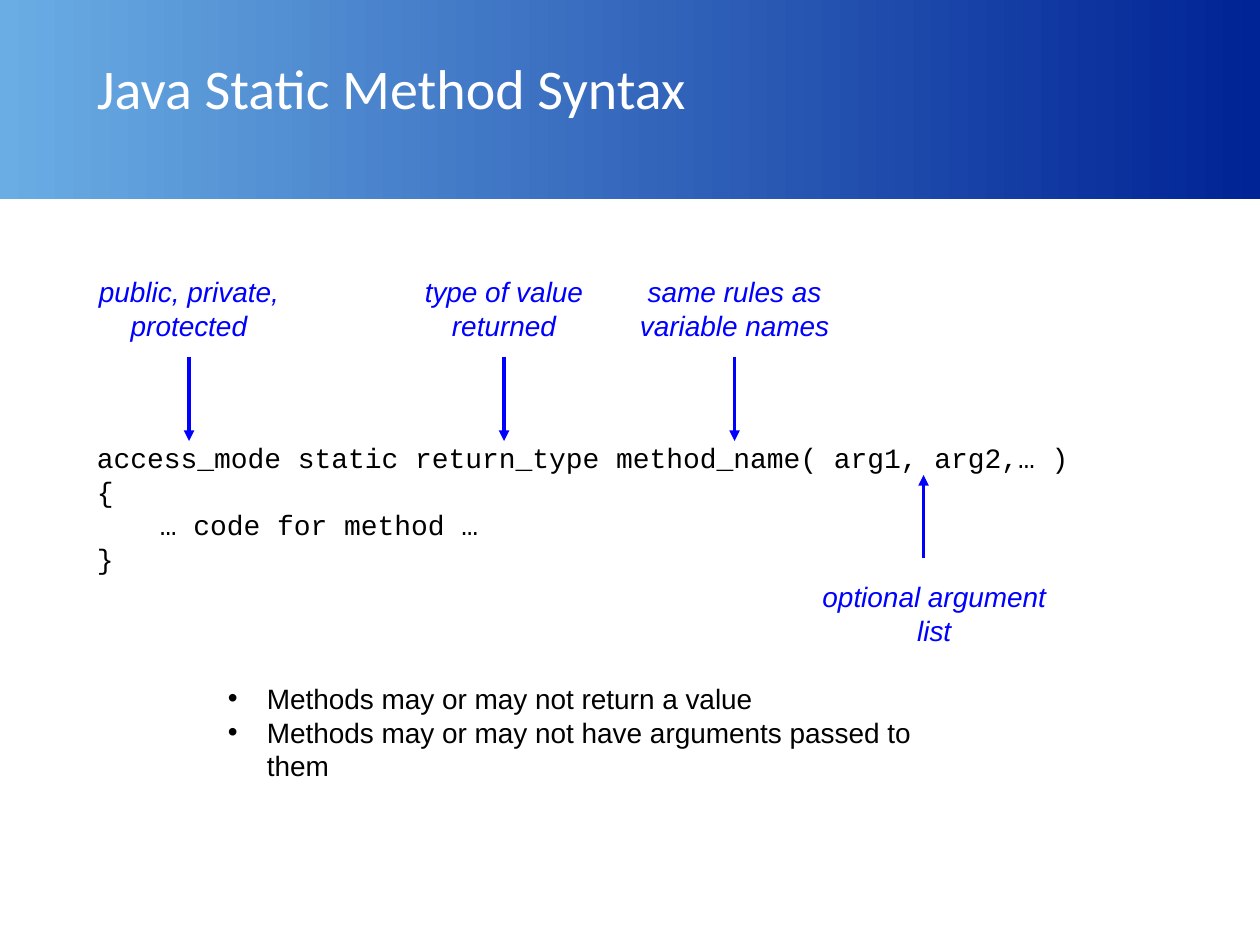
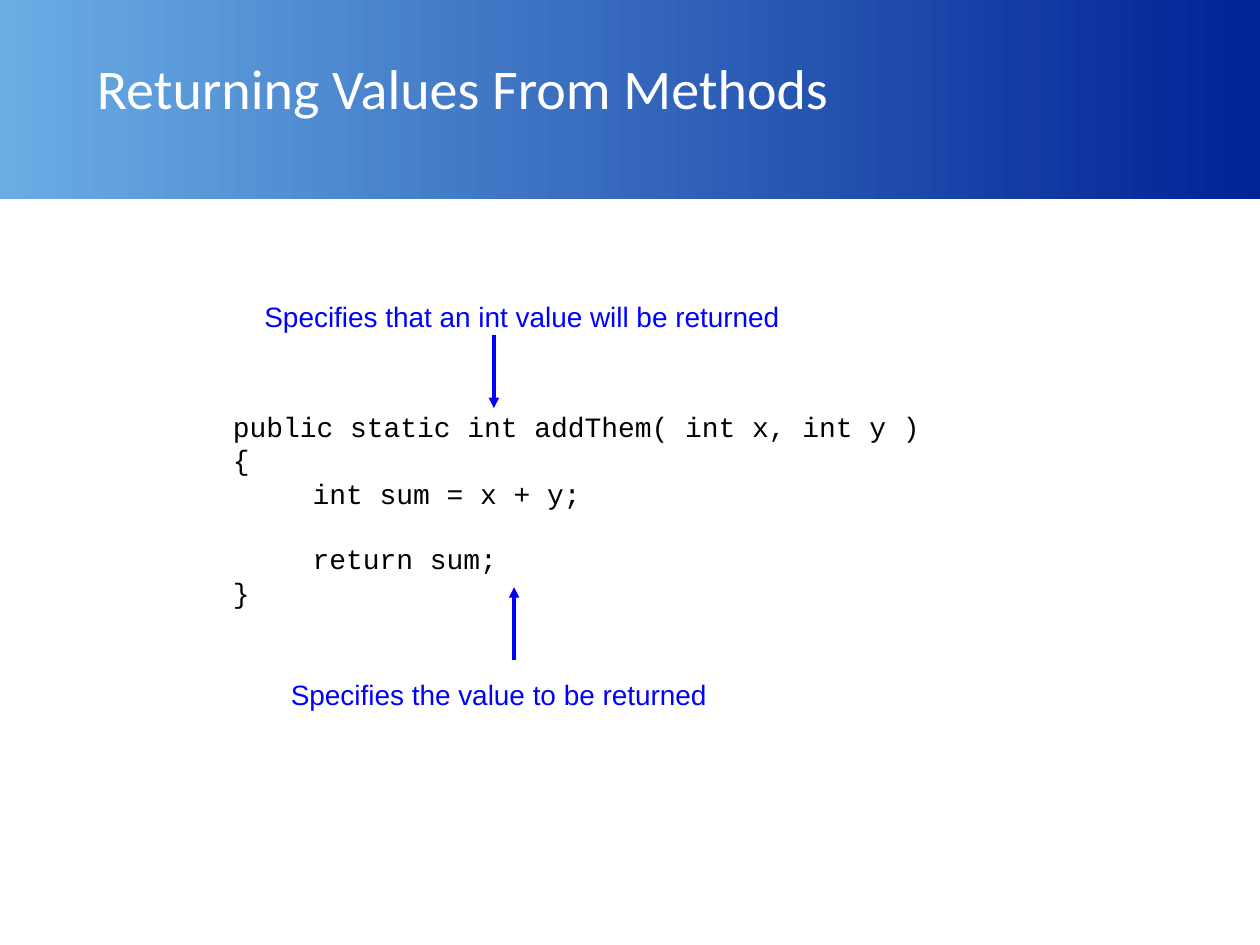
from dataclasses import dataclass

from lxml import etree
from pptx import Presentation
from pptx import util as u
from pptx.dml import color
from pptx.enum import shapes, text
from pptx.oxml import ns


@dataclass(frozen=True)
class Theme:
    band_start: str = "6AADE4"
    band_end: str = "002395"
    title: str = "FFFFFF"
    body: str = "000000"
    note: str = "0000FF"
    title_font: str = "Calibri"
    body_font: str = "Arial"
    code_font: str = "Courier New"
    title_size: int = 32
    body_size: int = 16
    code_line: int = 18
    arrow_width: int = 2


THEME = Theme()

# Content: boxes are left, top, width, height in inches
SYNTAX_TITLE = "Java Static Method Syntax"
SYNTAX_CODE = [
    "access_mode static return_type method_name( arg1, arg2,… )",
    "{",
    "\t… code for method …",
    "}",
]
PART_NOTES = [  # arrow x, note above the arrow
    (1.5, "public, private, protected"),
    (4, "type of value returned"),
    (5.83, "same rules as variable names"),
]
ARGUMENT_NOTE = "optional argument list"
METHOD_FACTS = [
    "Methods may or may not return a value",
    "Methods may or may not have arguments passed to them",
]

RETURN_TITLE = "Returning Values From Methods"
RETURN_CODE = [
    "public static int addThem( int x, int y )",
    "{",
    "\t int sum = x + y;",
    "\t return sum;",
    "}",
]
RETURN_LINE = 3
RETURN_NOTES = [  # text, box, arrow x, arrow start y, arrow end y
    ("Specifies that an int value will be returned",
     (2, 2.33, 4.42, 0.37), 3.92, 2.66, 3.24),
    ("Specifies the value to be returned",
     (2.21, 5.33, 3.75, 0.37), 4.08, 5.24, 4.66),
]

NOTE_WIDTH = 2.17
NOTE_TOP, NOTE_HEIGHT = 2.13, 0.7
PART_ARROW_END = 3.5
BULLET_INDENT = 0.31


def inches(values):
    return [u.Inches(value) for value in values]


def rgb(value):
    return color.RGBColor.from_string(value)


def add_text(slide, box, lines, font=THEME.body_font, size=THEME.body_size,
             ink=THEME.body, italic=False, align=text.PP_ALIGN.LEFT):
    shape = slide.shapes.add_textbox(*inches(box))
    frame = shape.text_frame
    frame.word_wrap = True
    frame.text = "\n".join(lines)
    for paragraph in frame.paragraphs:
        paragraph.alignment = align
        for run in paragraph.runs:
            run.font.name = font
            run.font.size = u.Pt(size)
            run.font.italic = italic
            run.font.color.rgb = rgb(ink)
    return shape


def add_code(slide, box, lines):
    return add_text(slide, box, lines, font=THEME.code_font)


def add_part_note(slide, box, note):
    return add_text(slide, box, [note], ink=THEME.note, italic=True,
                    align=text.PP_ALIGN.CENTER)


def add_bullets(slide, box, lines):
    shape = add_text(slide, box, lines)
    for paragraph in shape.text_frame.paragraphs:
        properties = paragraph._p.get_or_add_pPr()
        properties.set("marL", str(u.Inches(BULLET_INDENT)))
        properties.set("indent", str(-u.Inches(BULLET_INDENT)))
        etree.SubElement(properties, ns.qn("a:buFont"), typeface=THEME.body_font)
        etree.SubElement(properties, ns.qn("a:buChar"), char="•")


def add_arrow(slide, x, start_y, end_y):
    arrow = slide.shapes.add_connector(
        shapes.MSO_CONNECTOR.STRAIGHT, *inches((x, start_y, x, end_y)))
    arrow.line.color.rgb = rgb(THEME.note)
    arrow.line.width = u.Pt(THEME.arrow_width)
    etree.SubElement(arrow.line._get_or_add_ln(), ns.qn("a:tailEnd"), type="triangle")
    etree.SubElement(arrow._element.spPr, ns.qn("a:effectLst"))
    return arrow


def add_titled_slide(presentation, title):
    slide = presentation.slides.add_slide(presentation.slide_layouts[6])
    # Gradient band
    band = slide.shapes.add_shape(
        shapes.MSO_SHAPE.RECTANGLE, *inches((0, 0, 10, 1.58)))
    band.shadow.inherit = False
    band.line.fill.background()
    band.fill.gradient()
    band.fill.gradient_angle = 0
    for stop, value in zip(band.fill.gradient_stops, (THEME.band_start, THEME.band_end)):
        stop.color.rgb = rgb(value)
    # Title
    heading = add_text(slide, (0.67, 0.38, 9, 0.62), [title], THEME.title_font,
                       THEME.title_size, THEME.title)
    heading.text_frame.vertical_anchor = text.MSO_ANCHOR.MIDDLE
    return slide


def build_syntax_slide(presentation):
    slide = add_titled_slide(presentation, SYNTAX_TITLE)
    add_code(slide, (0.67, 3.45, 8.92, 1.3), SYNTAX_CODE)
    # Notes above the declaration, each centred over its arrow
    for x, note in PART_NOTES:
        box = (x - NOTE_WIDTH / 2, NOTE_TOP, NOTE_WIDTH, NOTE_HEIGHT)
        label = add_part_note(slide, box, note)
        arrow = add_arrow(slide, x, NOTE_TOP + NOTE_HEIGHT, PART_ARROW_END)
        arrow.begin_connect(label, 2)
    # Note below the argument list
    add_part_note(slide, (6.33, 4.55, NOTE_WIDTH, 0.64), ARGUMENT_NOTE)
    add_arrow(slide, 7.33, 4.43, 3.77)
    add_bullets(slide, (1.71, 5.36, 6.08, 0.91), METHOD_FACTS)


def build_return_slide(presentation):
    slide = add_titled_slide(presentation, RETURN_TITLE)
    code = add_code(slide, (1.75, 3.2, 6.92, 1.7), RETURN_CODE)
    code.text_frame.paragraphs[RETURN_LINE].space_before = u.Pt(THEME.code_line)
    for note, box, x, start_y, end_y in RETURN_NOTES:
        add_text(slide, box, [note], ink=THEME.note)
        add_arrow(slide, x, start_y, end_y)


def main():
    presentation = Presentation()
    presentation.slide_width = u.Inches(10)
    presentation.slide_height = u.Inches(7.5)
    build_syntax_slide(presentation)
    build_return_slide(presentation)
    presentation.save("out.pptx")


if __name__ == "__main__":
    main()
